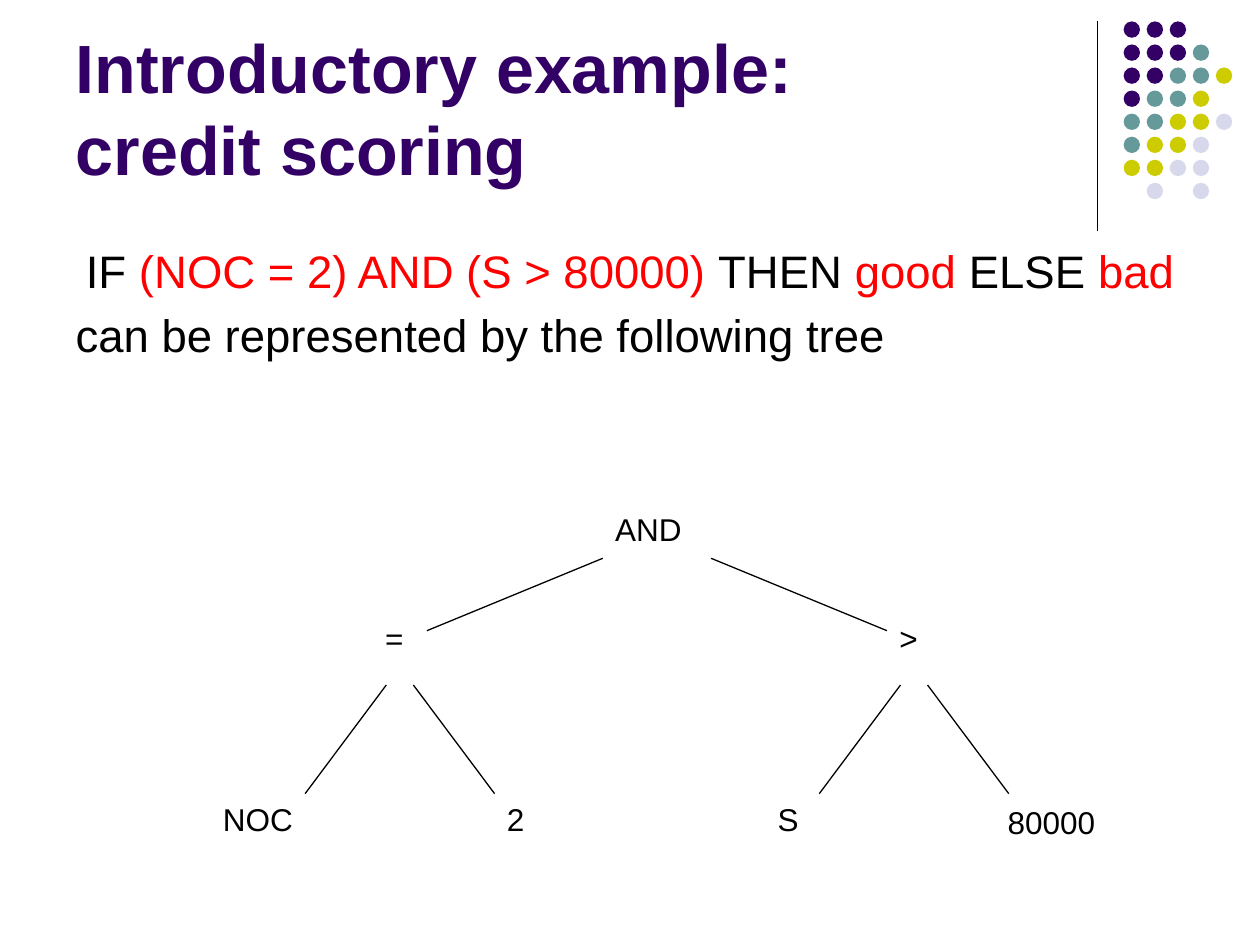
from lxml.etree import SubElement
from pptx import Presentation
from pptx.dml.color import RGBColor
from pptx.enum.shapes import MSO_CONNECTOR, MSO_SHAPE
from pptx.enum.text import MSO_ANCHOR, MSO_AUTO_SIZE, PP_ALIGN
from pptx.oxml.ns import qn
from pptx.util import Inches, Pt

BLACK = RGBColor(0x00, 0x00, 0x00)
RED = RGBColor(0xFF, 0x00, 0x00)
PURPLE = RGBColor(0x33, 0x00, 0x66)
TEAL = RGBColor(0x66, 0x99, 0x99)
OLIVE = RGBColor(0xCC, 0xCC, 0x00)
LAVENDER = RGBColor(0xD8, 0xD8, 0xEC)

# One letter per dot, a full stop for a gap
DOT_COLOURS = {"P": PURPLE, "T": TEAL, "O": OLIVE, "L": LAVENDER}
DOT_ROWS = ["PPP..", "PPPT.", "PPTTO", "PTTO.", "TTOOL", "TOOL.", "OOLL.", ".L.L."]

# Tree grid: node text, column, row, width in columns
TREE_COLUMNS, TREE_ROWS = 69, 38
NODE_HEIGHT = 0.4
NODES = [
    ("AND", 29, 0, 12),
    ("=", 12, 12, 5),
    (">", 50, 12, 5),
    ("NOC", 0, 32, 12),
    ("2", 21, 32, 5),
    ("S", 41, 32, 5),
    ("80000", 58, 32.4, 11),
]
ROOT_BRANCHES = [(29, 16), (37, 50)]
OPERATOR_COLUMNS = [12, 50]
LEAF_BRANCHES = [(1, -5), (3, 9)]  # column offsets from the operator


def write(paragraph, text, size=18, color=BLACK, bold=False, align=PP_ALIGN.LEFT, before=0):
    """Add text to a paragraph; a newline becomes a line break."""
    paragraph.alignment = align
    paragraph.space_before = Pt(before)
    for index, line in enumerate(text.split("\n")):
        if index:
            paragraph.add_line_break()
        run = paragraph.add_run()
        run.text = line
        run.font.name = "Arial"
        run.font.size = Pt(size)
        run.font.bold = bold
        run.font.color.rgb = color


def place(shape, box):
    shape.left, shape.top, shape.width, shape.height = map(Inches, box)


def add_line(shapes, start, end):
    line = shapes.add_connector(MSO_CONNECTOR.STRAIGHT, *map(Inches, (*start, *end)))
    line.line.color.rgb = BLACK
    line.line.width = Pt(0.75)
    SubElement(line._element.spPr, qn("a:effectLst"))


def hang_without_bullet(paragraph, indent):
    properties = paragraph._p.get_or_add_pPr()
    properties.set("marL", str(Inches(indent)))
    properties.set("indent", str(-Inches(indent)))
    SubElement(properties, qn("a:buNone"))


def fill_title(title, box):
    place(title, box)
    frame = title.text_frame
    frame.auto_size = MSO_AUTO_SIZE.NONE
    frame.vertical_anchor = MSO_ANCHOR.BOTTOM
    write(frame.paragraphs[0], "Introductory example: \ncredit scoring",
          size=39, color=PURPLE, bold=True)


def fill_body(body, box):
    place(body, box)
    frame = body.text_frame
    frame.auto_size = MSO_AUTO_SIZE.NONE
    rule = frame.paragraphs[0]
    for text, color in [("IF ", BLACK), ("(NOC = 2) AND (S > 80000)", RED),
                        (" THEN ", BLACK), ("good", RED),
                        (" ELSE ", BLACK), ("bad", RED)]:
        write(rule, text, size=26, color=color, align=PP_ALIGN.CENTER, before=5.2)
    explanation = frame.add_paragraph()
    write(explanation, "can be represented by the following tree", size=26, before=5.2)
    for paragraph in (rule, explanation):
        hang_without_bullet(paragraph, 0.38)


def add_ornament(slide, box):
    """Vertical rule on the left edge, dot grid to its right."""
    left, top, width, height = box
    add_line(slide.shapes, (left, top), (left, top + height))
    dots = slide.shapes.add_group_shape().shapes
    pitch, diameter = 0.183, 0.13
    first = left + width - 4 * pitch - diameter
    for row, letters in enumerate(DOT_ROWS):
        for column, letter in enumerate(letters):
            if letter not in DOT_COLOURS:
                continue
            dot = dots.add_shape(
                MSO_SHAPE.OVAL, Inches(first + column * pitch), Inches(top + row * pitch),
                Inches(diameter), Inches(diameter))
            dot.shadow.inherit = False
            dot.fill.solid()
            dot.fill.fore_color.rgb = DOT_COLOURS[letter]
            dot.line.fill.background()


def add_tree(slide, box):
    left, top, width, height = box
    column_width, row_height = width / TREE_COLUMNS, height / TREE_ROWS
    tree = slide.shapes.add_group_shape().shapes

    def at(column, row):
        return left + column * column_width, top + row * row_height

    # Nodes
    for text, column, row, columns in NODES:
        node = tree.add_textbox(
            *map(Inches, (*at(column, row), columns * column_width, NODE_HEIGHT)))
        node.text_frame.word_wrap = True
        write(node.text_frame.paragraphs[0], text, before=9)

    # Branches
    for start, end in ROOT_BRANCHES:
        add_line(tree, at(start, 6), at(end, 14))
    for operator in OPERATOR_COLUMNS:
        for start, end in LEAF_BRANCHES:
            add_line(tree, at(operator + start, 20), at(operator + end, 32))


def main():
    deck = Presentation()
    deck.slide_width, deck.slide_height = Inches(10), Inches(7.5)
    slide = deck.slides.add_slide(deck.slide_layouts[1])
    title, body = slide.placeholders
    add_ornament(slide, (8.71, 0.17, 1.07, 1.66))
    fill_title(title, (0.5, 0.13, 8.25, 1.42))
    fill_body(body, (0.5, 1.88, 9, 4.82))
    add_tree(slide, (1.67, 4, 7.41, 2.73))
    deck.save("out.pptx")


if __name__ == "__main__":
    main()
